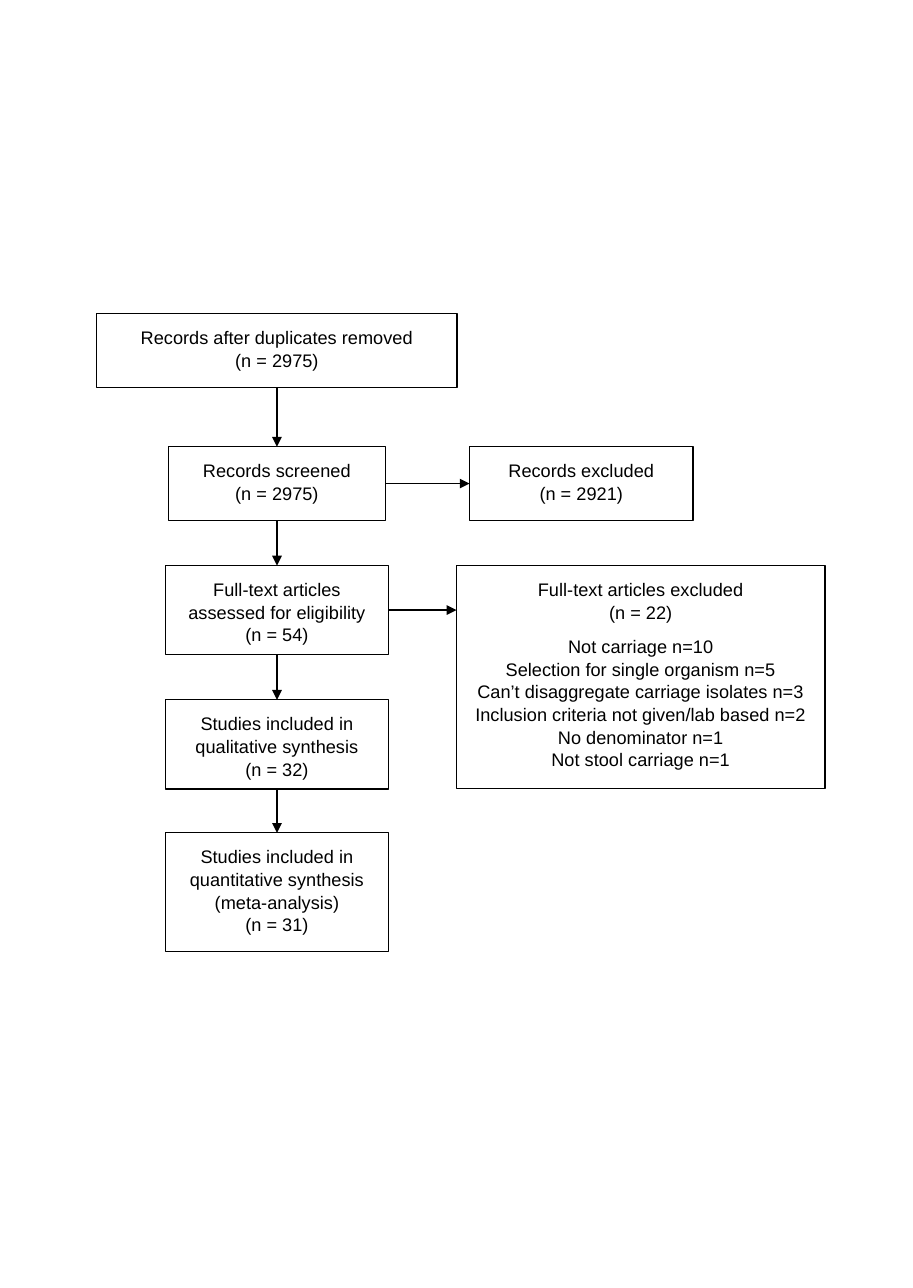
from dataclasses import dataclass
from itertools import pairwise

from lxml import etree
from pptx import Presentation
from pptx.dml.color import RGBColor
from pptx.enum.shapes import MSO_CONNECTOR, MSO_SHAPE
from pptx.enum.text import MSO_ANCHOR, PP_ALIGN
from pptx.oxml.ns import qn
from pptx.shapes.autoshape import Shape
from pptx.shapes.connector import Connector
from pptx.slide import Slide
from pptx.util import Inches, Pt

RECTANGLE = MSO_SHAPE.RECTANGLE
STRAIGHT = MSO_CONNECTOR.STRAIGHT
CENTER = PP_ALIGN.CENTER
TOP = MSO_ANCHOR.TOP

COLORS = {"paper": "FFFFFF", "ink": "000000"}
LINE_WIDTH = Pt(0.75)
INSET = Inches(0.1)
FRAME_FORMAT = {
    "word_wrap": True,
    "vertical_anchor": TOP,
    "margin_left": INSET,
    "margin_right": INSET,
    "margin_top": INSET,
    "margin_bottom": INSET,
}
PARAGRAPH_FORMAT = {"alignment": CENTER, "line_spacing": 1.04}
FONT_FORMAT = {"name": "Arial", "size": Pt(11)}
REASONS_GAP = Pt(7.2)
MAIN_CENTER = 2.33
BOTTOM_SITE, RIGHT_SITE = 2, 3


@dataclass(frozen=True)
class Stage:
    left: float
    top: float
    width: float
    height: float
    heading: str
    reasons: tuple[str, ...] = ()


def main_stage(top: float, width: float, height: float, heading: str) -> Stage:
    return Stage(MAIN_CENTER - width / 2, top, width, height, heading)


MAIN_STAGES = [
    main_stage(2.64, 3.03, 0.62, "Records after duplicates removed\v(n = 2975)"),
    main_stage(3.76, 1.83, 0.62, "Records screened\v(n = 2975)"),
    main_stage(4.76, 1.88, 0.75, "Full-text articles assessed for eligibility\v(n = 54)"),
    main_stage(5.89, 1.88, 0.75, "Studies included in qualitative synthesis\v(n = 32)"),
    main_stage(7.01, 1.88, 1, "Studies included in quantitative synthesis (meta-analysis)\v(n = 31)"),
]
EXCLUSIONS = {
    1: Stage(3.95, 3.76, 1.88, 0.62, "Records excluded\v(n = 2921)"),
    2: Stage(
        3.84, 4.76, 3.1, 1.88, "Full-text articles excluded\v(n = 22)",
        (
            "Not carriage n=10",
            "Selection for single organism n=5",
            "Can’t disaggregate carriage isolates n=3",
            "Inclusion criteria not given/lab based n=2",
            "No denominator n=1",
            "Not stool carriage n=1",
        ),
    ),
}


def color(key: str) -> RGBColor:
    return RGBColor.from_string(COLORS[key])


def apply_format(target: object, values: dict[str, object]) -> None:
    for attribute, value in values.items():
        setattr(target, attribute, value)


def draw_stage(slide: Slide, stage: Stage) -> Shape:
    box = slide.shapes.add_shape(
        RECTANGLE, Inches(stage.left), Inches(stage.top),
        Inches(stage.width), Inches(stage.height),
    )
    box.shadow.inherit = False
    box.fill.solid()
    box.fill.fore_color.rgb = color("paper")
    box.line.color.rgb = color("ink")
    box.line.width = LINE_WIDTH
    frame = box.text_frame
    apply_format(frame, FRAME_FORMAT)
    for index, wording in enumerate((stage.heading, *stage.reasons)):
        paragraph = frame.add_paragraph() if index else frame.paragraphs[0]
        paragraph.text = wording
        apply_format(paragraph, PARAGRAPH_FORMAT)
        if index == 1:
            paragraph.space_before = REASONS_GAP
        for run in paragraph.runs:
            apply_format(run.font, FONT_FORMAT)
            run.font.color.rgb = color("ink")
    return box


def draw_arrow(slide: Slide, source: Shape, site: int, end_x: int, end_y: int) -> Connector:
    arrow = slide.shapes.add_connector(STRAIGHT, end_x, end_y, end_x, end_y)
    arrow.begin_connect(source, site)
    arrow.line.color.rgb = color("ink")
    arrow.line.width = LINE_WIDTH
    outline = arrow.line._get_or_add_ln()
    etree.SubElement(outline, qn("a:tailEnd"), type="triangle")
    etree.SubElement(arrow._element.spPr, qn("a:effectLst"))
    return arrow


presentation = Presentation()
presentation.slide_width = Inches(7.68)
presentation.slide_height = Inches(10.84)
flow_slide = presentation.slides.add_slide(presentation.slide_layouts[6])

main_boxes = [draw_stage(flow_slide, stage) for stage in MAIN_STAGES]
for upper, lower in pairwise(main_boxes):
    draw_arrow(flow_slide, upper, BOTTOM_SITE, Inches(MAIN_CENTER), lower.top)
for position, exclusion in EXCLUSIONS.items():
    screened = main_boxes[position]
    excluded = draw_stage(flow_slide, exclusion)
    middle = screened.top + screened.height // 2
    draw_arrow(flow_slide, screened, RIGHT_SITE, excluded.left, middle)

presentation.save("out.pptx")
